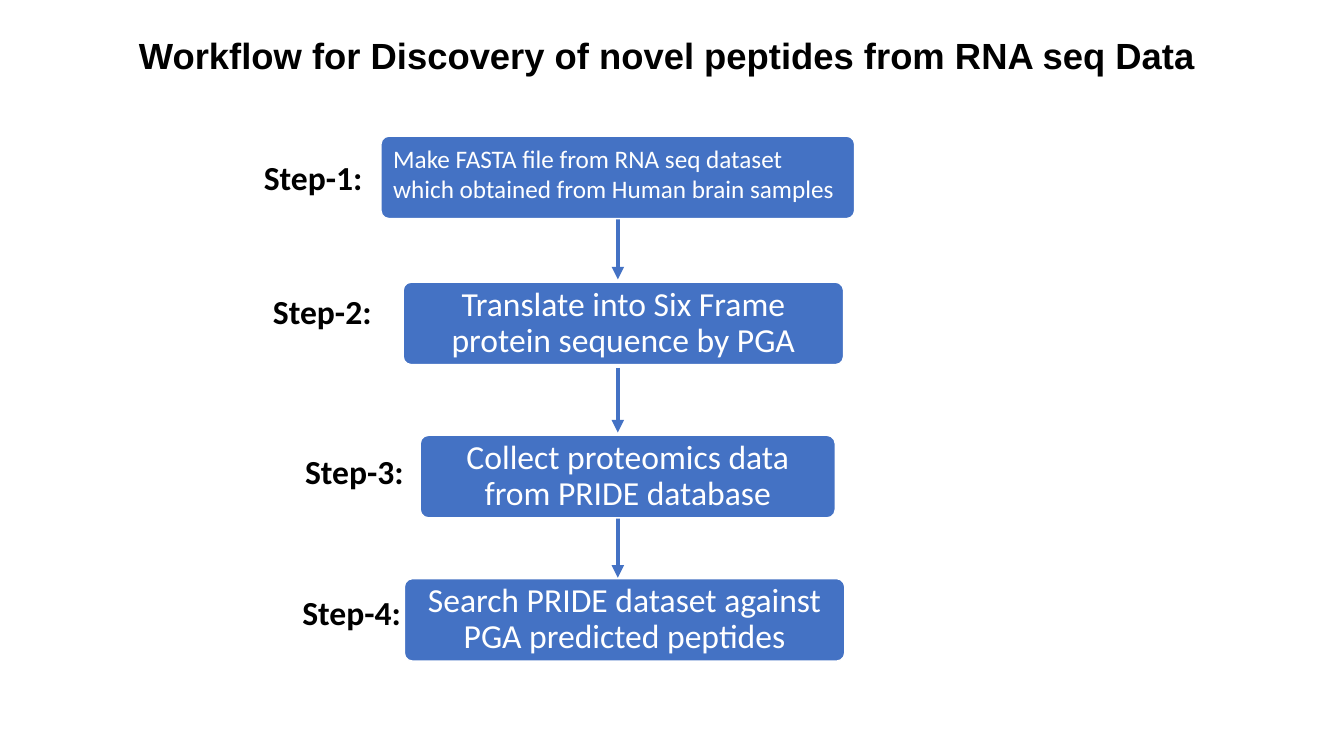
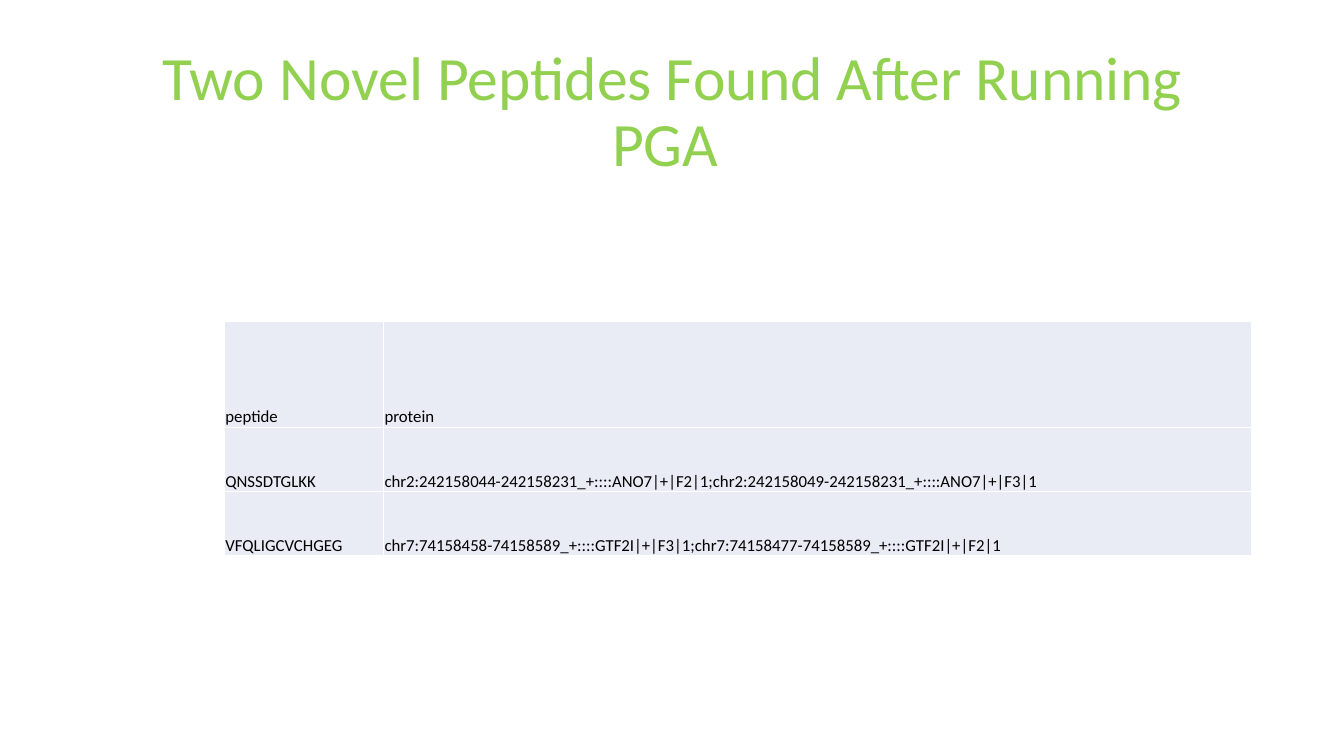
from lxml import etree
from pptx import Presentation
from pptx.dml.color import RGBColor
from pptx.enum.shapes import MSO_CONNECTOR, MSO_SHAPE
from pptx.enum.text import MSO_ANCHOR, PP_ALIGN
from pptx.oxml.ns import qn
from pptx.util import Cm, Pt

LEFT, CENTER = PP_ALIGN.LEFT, PP_ALIGN.CENTER
TOP, MIDDLE, BOTTOM = MSO_ANCHOR.TOP, MSO_ANCHOR.MIDDLE, MSO_ANCHOR.BOTTOM

BLUE, GREEN, PALE = "4472C4", "92D050", "E9EBF5"
WHITE, BLACK = "FFFFFF", "000000"
BODY_FONT, HEADING_FONT = "Calibri", "Arial"

# Lengths in cm
BOX_H = 2.08
LABEL_W, LABEL_H = 3.23, 1.27
ARROW_X, ARROW_LEN = 15.57, 1.63
ARROW_TOPS = [5.41, 9.27, 12.93]

# Label (left, top), box (left, top, width), text, then size, alignment, anchor, inset
BOX_STYLE = (24, CENTER, MIDDLE, 0.5)
STEPS = [
    ((6.4, 3.84), (9.6, 3.43, 11.94),
     "Make FASTA file from RNA seq dataset which obtained from Human brain samples",
     (18, LEFT, TOP, 0.25)),
    ((6.63, 7.21), (10.16, 7.11, 11.1),
     "Translate into Six Frame protein sequence by PGA", BOX_STYLE),
    ((7.44, 11.25), (10.59, 10.97, 10.46),
     "Collect proteomics data from PRIDE database", BOX_STYLE),
    ((7.37, 14.78), (10.19, 14.58, 11.1),
     "Search PRIDE dataset against PGA predicted peptides", BOX_STYLE),
]

PEPTIDES = [
    ("peptide", "protein"),
    ("QNSSDTGLKK",
     "chr2:242158044-242158231_+::::ANO7|+|F2|1;chr2:242158049-242158231_+::::ANO7|+|F3|1"),
    ("VFQLIGCVCHGEG",
     "chr7:74158458-74158589_+::::GTF2I|+|F3|1;chr7:74158477-74158589_+::::GTF2I|+|F2|1"),
]
COL_WIDTHS = [4.01, 21.87]
ROW_HEIGHTS = [2.67, 1.62, 1.62]


def rgb(color):
    return RGBColor.from_string(color)


def write(tf, text, size, color, font=BODY_FONT, bold=False, align=LEFT, spacing=1.0):
    p = tf.paragraphs[0]
    p.text = text
    p.alignment = align
    p.line_spacing = spacing
    p.font.name, p.font.size, p.font.bold = font, Pt(size), bold
    p.font.color.rgb = rgb(color)


def add_text(s, box, text, size, color, anchor=TOP, **style):
    tf = s.shapes.add_textbox(*map(Cm, box)).text_frame
    tf.word_wrap = True
    tf.vertical_anchor = anchor
    write(tf, text, size, color, **style)


def add_title(s, box, text, size, color, **style):
    add_text(s, box, text, size, color, MIDDLE, spacing=0.9, **style)


def add_step_box(s, left, top, width, text, size, align, anchor, inset):
    sp = s.shapes.add_shape(MSO_SHAPE.ROUNDED_RECTANGLE,
                            Cm(left), Cm(top), Cm(width), Cm(BOX_H))
    sp.adjustments[0] = 0.1
    sp.shadow.inherit = False
    sp.fill.solid()
    sp.fill.fore_color.rgb = rgb(BLUE)
    sp.line.color.rgb = rgb(WHITE)
    sp.line.width = Pt(1)
    tf = sp.text_frame
    tf.word_wrap = True
    tf.vertical_anchor = anchor
    tf.margin_left = tf.margin_right = Cm(inset)
    write(tf, text, size, WHITE, align=align, spacing=0.9 if align == CENTER else 1.0)


def add_down_arrow(s, top):
    c = s.shapes.add_connector(MSO_CONNECTOR.STRAIGHT, Cm(ARROW_X), Cm(top),
                               Cm(ARROW_X), Cm(top + ARROW_LEN))
    c.line.color.rgb = rgb(BLUE)
    c.line.width = Pt(3)
    etree.SubElement(c.line._get_or_add_ln(), qn("a:tailEnd"), type="triangle")
    etree.SubElement(c._element.spPr, qn("a:effectLst"))


def set_borders(cell, color):
    tc_pr = cell._tc.get_or_add_tcPr()
    for side in "LRTB":
        ln = etree.SubElement(tc_pr, qn(f"a:ln{side}"), w=str(Pt(1)))
        fill = etree.SubElement(ln, qn("a:solidFill"))
        etree.SubElement(fill, qn("a:srgbClr"), val=color)


def add_peptide_table(s, left, top):
    table = s.shapes.add_table(len(PEPTIDES), len(COL_WIDTHS), Cm(left), Cm(top),
                               Cm(sum(COL_WIDTHS)), Cm(sum(ROW_HEIGHTS))).table
    table.first_row = table.horz_banding = False
    for column, width in zip(table.columns, COL_WIDTHS):
        column.width = Cm(width)
    for row, height, texts in zip(table.rows, ROW_HEIGHTS, PEPTIDES):
        row.height = Cm(height)
        for cell, text in zip(row.cells, texts):
            set_borders(cell, WHITE)
            cell.fill.solid()
            cell.fill.fore_color.rgb = rgb(PALE)
            cell.vertical_anchor = BOTTOM
            cell.margin_left = cell.margin_right = cell.margin_top = Cm(0.02)
            cell.margin_bottom = 0
            write(cell.text_frame, text, 12, BLACK)


def build_workflow(s):
    add_title(s, (3.25, -0.03, 27.36, 2.95),
              "Workflow for Discovery of novel peptides from RNA seq Data",
              26, BLACK, font=HEADING_FONT, bold=True)
    for top in ARROW_TOPS:
        add_down_arrow(s, top)
    for number, (label, box, text, style) in enumerate(STEPS, 1):
        add_step_box(s, *box, text, *style)
        add_text(s, (*label, LABEL_W, LABEL_H), f"Step-{number}:", 24, BLACK, bold=True)


def build_results(s):
    add_title(s, (2.34, 1.02, 29.21, 3.68),
              "Two Novel Peptides Found After Running PGA ", 44, GREEN, align=CENTER)
    add_peptide_table(s, 5.66, 8.1)


def main():
    prs = Presentation()
    prs.slide_width, prs.slide_height = Cm(33.87), Cm(19.05)
    for build in (build_workflow, build_results):
        build(prs.slides.add_slide(prs.slide_layouts[6]))
    prs.save("out.pptx")


if __name__ == "__main__":
    main()
